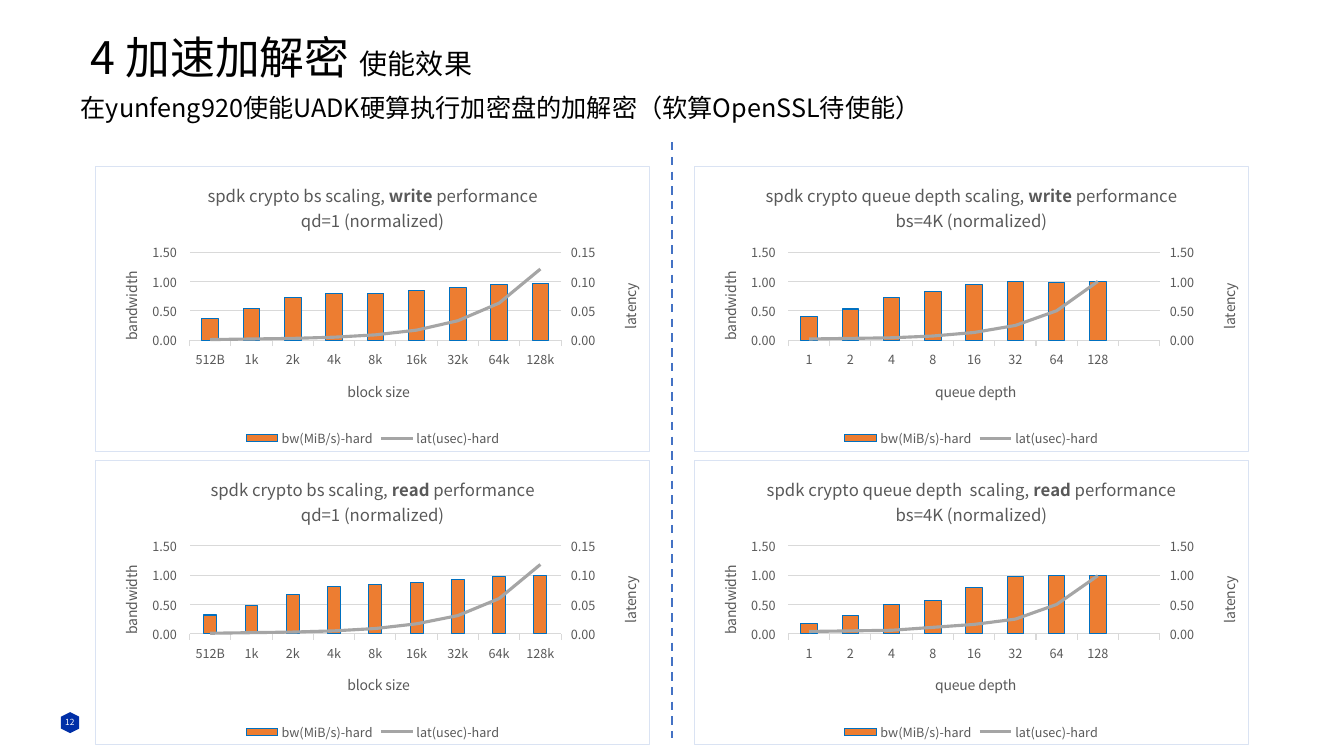
from copy import deepcopy
from dataclasses import dataclass
from pptx import Presentation
from pptx.chart.axis import CategoryAxis as CatAxis, ValueAxis as ValAxis
from pptx.chart.data import CategoryChartData as Data
from pptx.dml.color import RGBColor as Rgb
from pptx.enum.chart import (XL_CHART_TYPE as Kind, XL_LEGEND_POSITION as Spot,
                             XL_MARKER_STYLE as Mark, XL_TICK_MARK as Tick)
from pptx.enum.dml import MSO_LINE as Dash
from pptx.enum.shapes import MSO_CONNECTOR as Link, MSO_SHAPE as Form
from pptx.enum.text import MSO_ANCHOR as Anchor, MSO_AUTO_SIZE as Fit, PP_ALIGN as Align
from pptx.oxml import parse_xml
from pptx.oxml.ns import nsdecls, qn
from pptx.util import Cm, Pt


@dataclass
class Theme:
    font: str = "Noto Sans CJK SC"
    ink: str = "000000"
    gray: str = "595959"
    white: str = "FFFFFF"
    badge: str = "002FA7"
    split: str = "4472C4"
    grid: str = "D9D9D9"
    frame: str = "DAE3F3"
    bar: str = "ED7D31"
    edge: str = "0070C0"
    curve: str = "A5A5A5"
    head: int = 32
    sub: int = 20
    lead: int = 18
    title: int = 12
    axis: int = 10
    tick: int = 9
    page: int = 6


T = Theme()
HEAD = [("4 加速加解密 ", T.head), ("使能效果", T.sub)]
LEAD = "在yunfeng920使能UADK硬算执行加密盘的加解密（软算OpenSSL待使能）"
PAGE = "12"
NAMES = ("bw(MiB/s)-hard", "lat(usec)-hard")
PLAIN, RED = "0.00_ ", "0.00_);[Red]\\(0.00\\)"
SIZES = ["512B", "1k", "2k", "4k", "8k", "16k", "32k", "64k", "128k"]
DEPTHS = ["1", "2", "4", "8", "16", "32", "64", "128", ""]
COLS = [
    dict(cats=SIZES, label="block size", at=0.45, top=0.15, note="qd=1 (normalized)"),
    dict(cats=DEPTHS, label="queue depth", at=0.43, top=1.5, note="bs=4K (normalized)"),
]
CHARTS = [
    dict(col=0, row=0, text="spdk crypto bs scaling, ", mode="write", gap=150, form=PLAIN,
         bw=[0.37, 0.54, 0.72, 0.79, 0.8, 0.85, 0.9, 0.94, 0.97],
         lat=[0.001, 0.002, 0.003, 0.005, 0.009, 0.017, 0.033, 0.063, 0.121]),
    dict(col=0, row=1, text="spdk crypto bs scaling, ", mode="read", gap=219, form=RED,
         bw=[0.32, 0.48, 0.67, 0.8, 0.84, 0.87, 0.93, 0.97, 0.99],
         lat=[0.001, 0.002, 0.003, 0.005, 0.009, 0.017, 0.031, 0.06, 0.118]),
    dict(col=1, row=0, text="spdk crypto queue depth scaling, ", mode="write", gap=150, form=PLAIN,
         bw=[0.4, 0.53, 0.72, 0.83, 0.94, 1, 0.98, 0.99, None],
         lat=[0.02, 0.03, 0.04, 0.07, 0.13, 0.25, 0.5, 1, None]),
    dict(col=1, row=1, text="spdk crypto queue depth  scaling, ", mode="read", gap=150, form=RED,
         bw=[0.18, 0.31, 0.5, 0.57, 0.78, 0.97, 0.99, 1, None],
         lat=[0.04, 0.05, 0.06, 0.11, 0.16, 0.25, 0.5, 0.99, None]),
]


def style(font, size, color, bold=False):
    font.name, font.size, font.bold = T.font, Pt(size), bold
    font.color.rgb = Rgb.from_string(color)


def stroke(line, color, width):
    line.color.rgb = Rgb.from_string(color)
    line.width = Pt(width)


def place(shape, x, y, w, h):
    shape.left, shape.top, shape.width, shape.height = Cm(x), Cm(y), Cm(w), Cm(h)


def layout(node, x, y, w=None, h=None):
    for old in node.findall(qn("c:layout")):
        node.remove(old)
    rows = '<c:layoutTarget val="inner"/>' if w else ""
    rows += '<c:xMode val="edge"/><c:yMode val="edge"/>'
    for key, num in zip("xywh", (x, y, w, h)):
        rows += f'<c:{key} val="{num}"/>' if num is not None else ""
    new = parse_xml(f'<c:layout {nsdecls("c")}><c:manualLayout>{rows}</c:manualLayout></c:layout>')
    text = node.find(qn("c:tx"))
    if text is None:
        node.insert(0, new)
    else:
        text.addnext(new)


def label(axis, text, x, y, turn=False):
    frame = axis.axis_title.text_frame
    frame.text = text
    style(frame.paragraphs[0].runs[0].font, T.axis, T.gray)
    node = axis.axis_title.element
    layout(node, x, y)
    if turn:
        next(node.iter(qn("a:bodyPr"))).set("rot", "-5400000")


def scale(axis, top):
    axis.minimum_scale, axis.maximum_scale, axis.major_unit = 0, top, round(top / 3, 2)


def second(area, top):
    bars, cat, val = (area.find(qn(tag)) for tag in ("c:barChart", "c:catAx", "c:valAx"))
    line = parse_xml(f'<c:lineChart {nsdecls("c")}><c:grouping val="standard"/>'
                     '<c:varyColors val="0"/><c:marker val="1"/>'
                     '<c:axId val="501"/><c:axId val="502"/></c:lineChart>')
    ser = bars.findall(qn("c:ser"))[1]
    for flag in ser.findall(qn("c:invertIfNegative")):
        ser.remove(flag)
    line.insert(2, ser)
    bars.addnext(line)
    base, side = deepcopy(cat), deepcopy(val)
    for node, own, other in ((base, "501", "502"), (side, "502", "501")):
        node.find(qn("c:axId")).set("val", own)
        node.find(qn("c:crossAx")).set("val", other)
    val.addnext(side)
    side.addnext(base)
    side.find(qn("c:axPos")).set("val", "r")
    side.find(qn("c:crosses")).set("val", "max")
    hidden, right = CatAxis(base), ValAxis(side)
    hidden.has_title = hidden.visible = False
    right.has_major_gridlines = False
    right.tick_labels.number_format = "0.00"
    scale(right, top)
    label(right, "latency", 0.94, 0.4, True)


def plot(slide, item):
    col = COLS[item["col"]]
    data = Data()
    data.categories = col["cats"]
    for name, key in zip(NAMES, ("bw", "lat")):
        data.add_series(name, item[key])
    chart = slide.shapes.add_chart(
        Kind.COLUMN_CLUSTERED, Cm(2.39 + 15.09 * item["col"]), Cm(4.19 + 7.4 * item["row"]),
        Cm(14), Cm(7.19), data).chart
    style(chart.font, T.axis, T.ink)
    frame = chart.chart_title.text_frame
    first, last = frame.paragraphs[0], frame.add_paragraph()
    parts = [(first, item["text"], False), (first, item["mode"], True),
             (first, " performance", False), (last, col["note"], False)]
    for para, text, bold in parts:
        run = para.add_run()
        run.text = text
        style(run.font, T.title, T.gray, bold)
    chart.has_legend = True
    chart.legend.position, chart.legend.include_in_layout = Spot.BOTTOM, False
    style(chart.legend.font, T.tick, T.gray)

    cat, val = chart.category_axis, chart.value_axis
    for axis in (cat, val):
        axis.major_tick_mark, axis.minor_tick_mark = Tick.OUTSIDE, Tick.NONE
        style(axis.tick_labels.font, T.tick, T.gray)
    stroke(cat.format.line, T.grid, 0.75)
    val.format.line.fill.background()
    val.has_major_gridlines = True
    stroke(val.major_gridlines.format.line, T.grid, 0.75)
    val.tick_labels.number_format = item["form"]
    val.tick_labels.number_format_is_linked = False
    scale(val, 1.5)
    label(cat, col["label"], col["at"], 0.74)
    label(val, "bandwidth", 0.04, 0.36, True)

    root = chart.element
    area = next(root.iter(qn("c:plotArea")))
    layout(area, 0.17, 0.3, 0.67, 0.31)
    second(area, col["top"])
    bars, line = chart.plots
    bars.gap_width, bars.vary_by_categories = item["gap"], False
    bar, curve = bars.series[0], line.series[0]
    bar.format.fill.solid()
    bar.format.fill.fore_color.rgb = Rgb.from_string(T.bar)
    stroke(bar.format.line, T.edge, 0.75)
    stroke(curve.format.line, T.curve, 2.25)
    curve.marker.style, curve.smooth = Mark.NONE, False
    root.find(qn("c:chart")).addnext(parse_xml(
        f'<c:spPr {nsdecls("c", "a")}><a:noFill/><a:ln w="9525"><a:solidFill>'
        f'<a:srgbClr val="{T.frame}"/></a:solidFill></a:ln></c:spPr>'))


def write(shape, parts, color, align):
    frame = shape.text_frame
    frame.word_wrap, frame.auto_size = True, Fit.NONE
    frame.vertical_anchor = Anchor.MIDDLE
    para = frame.paragraphs[0]
    para.alignment, para.space_before = align, Pt(0)
    for text, size in parts:
        run = para.add_run()
        run.text = text
        style(run.font, size, color)
    return para


def main():
    deck = Presentation()
    deck.slide_width, deck.slide_height = Cm(33.87), Cm(19.05)
    slide = deck.slides.add_slide(deck.slide_layouts[1])
    shapes = slide.shapes
    head, lead = shapes.title, slide.placeholders[1]
    place(head, 2.03, 0.81, 24.69, 1.42)
    write(head, HEAD, T.ink, Align.LEFT).line_spacing = 0.9
    place(lead, 1.78, 2.2, 30.3, 1.02)
    props = write(lead, [(LEAD, T.lead)], T.ink, Align.LEFT)._p.get_or_add_pPr()
    props.set("marL", "0")
    props.set("indent", "0")
    props.append(parse_xml(f'<a:buNone {nsdecls("a")}/>'))

    badge = shapes.add_shape(Form.HEXAGON, Cm(1.5), Cm(17.98), Cm(0.53), Cm(0.46))
    badge.rotation, badge.shadow.inherit = 90, False
    badge.fill.solid()
    badge.fill.fore_color.rgb = Rgb.from_string(T.badge)
    badge.line.fill.background()
    page = shapes.add_textbox(Cm(1.24), Cm(17.7), Cm(1.04), Cm(1.02))
    write(page, [(PAGE, T.page)], T.white, Align.CENTER)
    for latin in list(slide.element.iter(qn("a:latin"))):
        latin.addnext(parse_xml(f'<a:ea {nsdecls("a")} typeface="{T.font}"/>'))

    split = shapes.add_connector(Link.STRAIGHT, Cm(16.94), Cm(3.58), Cm(16.94), Cm(18.59))
    stroke(split.line, T.split, 1.5)
    split.line.dash_style = Dash.DASH
    split.element.spPr.append(parse_xml(f'<a:effectLst {nsdecls("a")}/>'))
    for item in CHARTS:
        plot(slide, item)
    deck.save("out.pptx")


if __name__ == "__main__":
    main()
